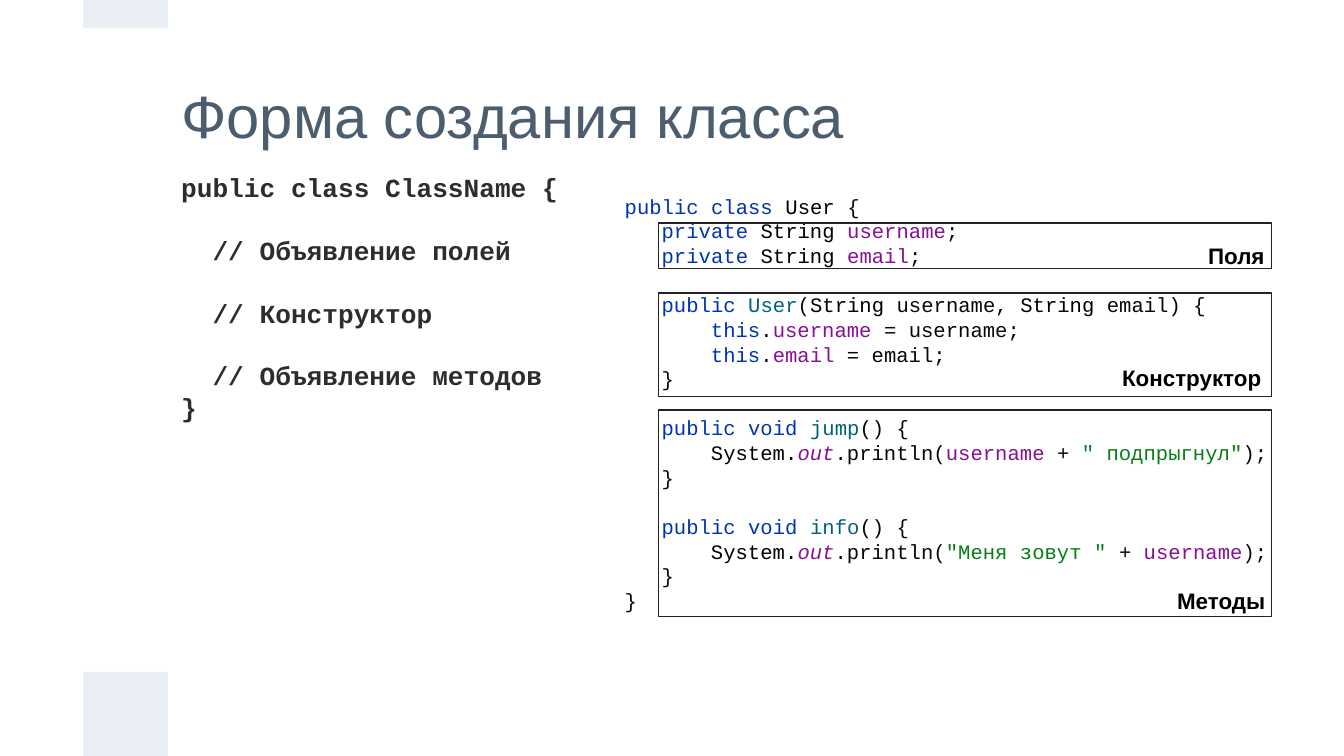
"""Build a slide showing the form of a class declaration beside a worked example."""
import pptx
import pptx.util
import pptx.dml.color
import pptx.enum.shapes
import pptx.enum.text

Inches = pptx.util.Inches
Pt = pptx.util.Pt
COLORS = {
    "band": "E9EDF4", "title": "4C5D6E", "template": "2C2D30", "frame": "222222",
    "label": "000000", "keyword": "0033B3", "type": "000000", "plain": "080808",
    "field": "871094", "static": "871094", "method": "00627A", "string": "067D17",
}

prs = pptx.Presentation()
prs.slide_width = Inches(10)
prs.slide_height = Inches(10) * 9 // 16
s = prs.slides.add_slide(prs.slide_layouts[6])


def add_rect(box, fill=None, line=None):
    sp = s.shapes.add_shape(pptx.enum.shapes.MSO_SHAPE.RECTANGLE, *map(Inches, box))
    sp.shadow.inherit = False
    if fill:
        sp.fill.solid()
        sp.fill.fore_color.rgb = pptx.dml.color.RGBColor.from_string(COLORS[fill])
    else:
        sp.fill.background()
    if line:
        sp.line.color.rgb = pptx.dml.color.RGBColor.from_string(COLORS[line])
        sp.line.width = Pt(0.75)
    else:
        sp.line.fill.background()


def add_text(box, lines, size, font, bold=False, middle=False, pitch=None):
    tf = s.shapes.add_textbox(*map(Inches, box)).text_frame
    tf.word_wrap = True
    tf.margin_left = tf.margin_right = tf.margin_top = tf.margin_bottom = Inches(0.1)
    anchor = pptx.enum.text.MSO_ANCHOR
    tf.vertical_anchor = anchor.MIDDLE if middle else anchor.TOP
    for i, (indent, blank_before, runs) in enumerate(lines):
        p = tf.paragraphs[0] if i == 0 else tf.add_paragraph()
        p._p.get_or_add_pPr().set("marL", str(Pt(indent * size * 0.6)))
        if pitch:
            p.line_spacing = Pt(pitch)
            p.space_before = Pt(pitch * blank_before)
        for text, kind in runs:
            r = p.add_run()
            r.text = text
            r.font.name = font
            r.font.size = Pt(size)
            r.font.bold = bold
            r.font.italic = kind == "static"
            r.font.color.rgb = pptx.dml.color.RGBColor.from_string(COLORS[kind])


for top, height in [(5, 0.63), (0, 0.21)]:
    add_rect((0.62, top, 0.63, height), fill="band")

add_text((1.25, 0.23, 7.5, 1.25), [(0, 0, [("Форма создания класса", "title")])],
         32, "Arial", middle=True)

template = [(0, 0, [("public class ClassName {", "template")])]
for part in ["Объявление полей", "Конструктор", "Объявление методов"]:
    template.append((2, 1, [("// " + part, "template")]))
template.append((0, 0, [("}", "template")]))
add_text((1.25, 1.27, 3.04, 1.88), template, 14, "Courier New",
         bold=True, middle=True, pitch=16.8)

fields = ["username", "email"]
code = [(0, 0, [("public class ", "keyword"), ("User ", "type"), ("{", "plain")])]
for field in fields:
    code.append((3, 0, [("private ", "keyword"), ("String ", "type"),
                        (field, "field"), (";", "plain")]))
code.append((3, 1, [("public ", "keyword"), ("User", "method"), ("(", "plain"),
                    ("String ", "type"), ("username, ", "plain"),
                    ("String ", "type"), ("email) {", "plain")]))
for field in fields:
    code.append((7, 0, [("this", "keyword"), (".", "plain"),
                        (field + " ", "field"), (f"= {field};", "plain")]))
code.append((3, 0, [("}", "plain")]))
methods = [
    ("jump", [("username ", "field"), ("+ ", "plain"), ('" подпрыгнул"', "string")]),
    ("info", [('"Меня зовут " ', "string"), ("+ ", "plain"), ("username", "field")]),
]
for name, message in methods:
    code.append((3, 1, [("public void ", "keyword"), (name, "method"), ("() {", "plain")]))
    code.append((7, 0, [("System", "type"), (".", "plain"), ("out", "static"),
                        (".println(", "plain"), *message, (");", "plain")]))
    code.append((3, 0, [("}", "plain")]))
code.append((0, 0, [("}", "plain")]))
add_text((4.55, 1.34, 5.13, 3.35), code, 11, "Courier New", pitch=13.2)

sections = [
    ("Поля", 1.66, 0.34, (8.89, 1.7, 0.91, 0.4)),
    ("Конструктор", 2.18, 0.77, (8.25, 2.61, 1.32, 0.4)),
    ("Методы", 3.05, 1.54, (8.66, 4.27, 0.91, 0.4)),
]
for label, top, height, label_box in sections:
    add_rect((4.9, top, 4.56, height), line="frame")
    add_text(label_box, [(0, 0, [(label, "label")])], 12, "Arial", bold=True)

prs.save("out.pptx")
